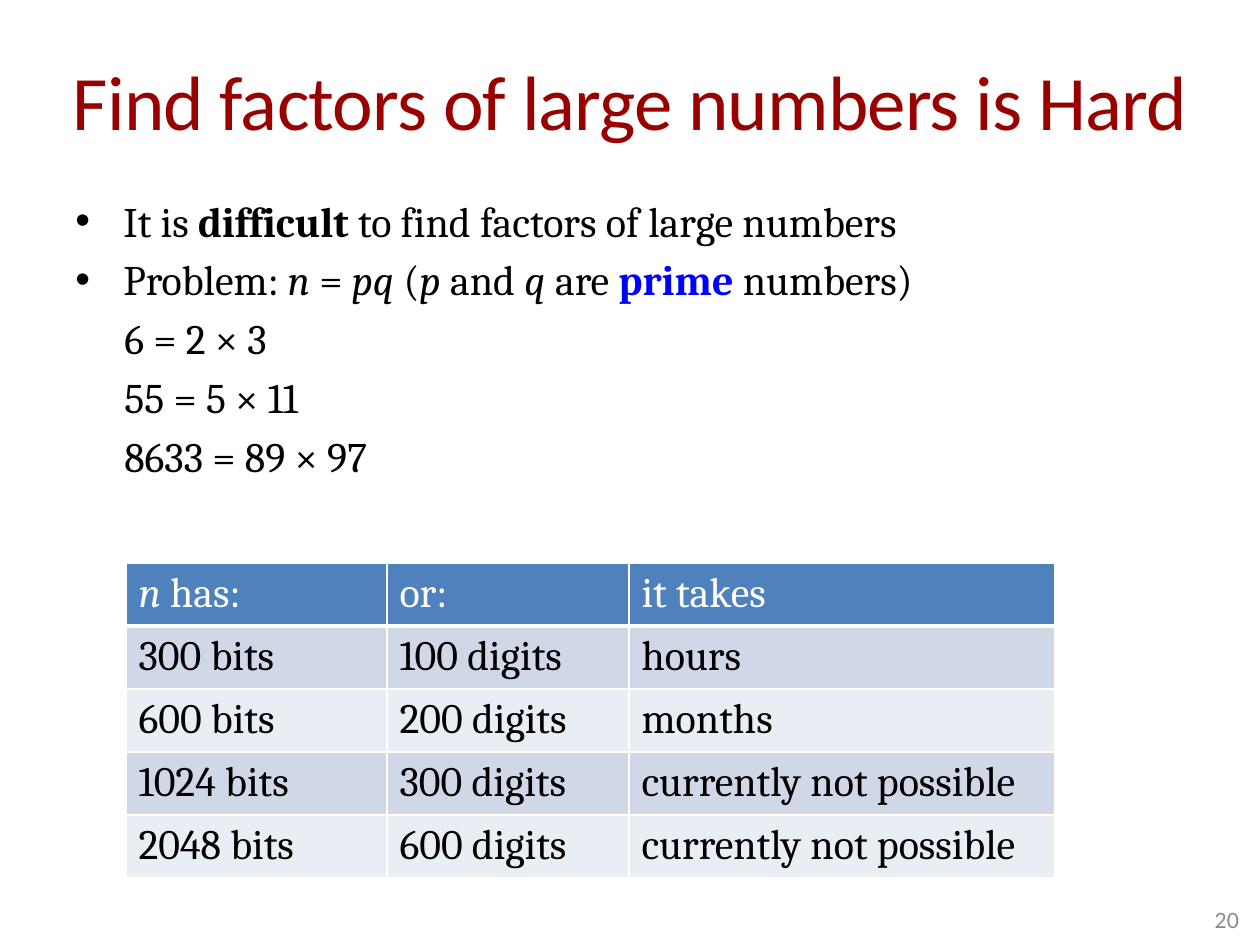
from lxml.etree import SubElement
from pptx import Presentation
from pptx.dml.color import RGBColor
from pptx.enum.text import MSO_ANCHOR as Anchor, MSO_AUTO_SIZE as Auto, PP_ALIGN as Align
from pptx.oxml.ns import qn
from pptx.util import Pt

PX = 914400 // 126
BLACK, WHITE, BLUE = "000000", "FFFFFF", "0000FF"
HEADER_FILL, BANDS = "4F81BD", ("D0D8E8", "E9EDF4")

TITLE = "Find factors of large numbers is Hard"
BULLETS = [
    [("It is ", ""), ("difficult", "b"), (" to find factors of large numbers", "")],
    [("Problem: ", ""), ("n", "i"), (" = ", ""), ("pq", "i"), (" (", ""), ("p", "i"),
     (" and ", ""), ("q", "i"), (" are ", ""), ("prime ", "key"), ("numbers)", "")],
]
EXAMPLES = ["6 = 2 × 3", "55 = 5 × 11", "8633 = 89 × 97"]
HEADER = [[("n", "i"), (" has:", "")], [("or:", "")], [("it takes", "")]]
ROWS = [
    ("300 bits", "100 digits", "hours"),
    ("600 bits", "200 digits", "months"),
    ("1024 bits", "300 digits", "currently not possible"),
    ("2048 bits", "600 digits", "currently not possible"),
]
COL_WIDTHS, ROW_HEIGHT = (261, 242, 426), 60
STYLES = {"": (False, False), "b": (True, False), "i": (False, True), "key": (True, False)}


def rgb(hex_text):
    return RGBColor.from_string(hex_text)


def px(*values):
    return [v * PX for v in values]


def add_run(p, text, color=BLACK, size=24, font="Cambria", style=""):
    r = p.add_run()
    r.text = text
    r.font.name, r.font.size = font, Pt(size)
    r.font.bold, r.font.italic = STYLES[style]
    r.font.color.rgb = rgb(BLUE if style == "key" else color)
    return r


def set_indent(p, left, hanging=0, bullet=None):
    pPr = p._p.get_or_add_pPr()
    pPr.set("marL", str(left * PX))
    pPr.set("indent", str(-hanging * PX))
    SubElement(SubElement(pPr, qn("a:spcBef")), qn("a:spcPct"), val="20000")
    if bullet:
        SubElement(pPr, qn("a:buFont"), typeface="Arial")
        SubElement(pPr, qn("a:buChar"), char=bullet)
    else:
        SubElement(pPr, qn("a:buNone"))


def set_borders(cell, **widths):
    tcPr = cell._tc.get_or_add_tcPr()
    for side in "LRTB":
        ln = SubElement(tcPr, qn(f"a:ln{side}"), w=str(Pt(widths.get(side, 1))))
        SubElement(SubElement(ln, qn("a:solidFill")), qn("a:srgbClr"), val=WHITE)


def add_title(s):
    sp = s.shapes.title
    sp.left, sp.top, sp.width, sp.height = px(63, 21, 1134, 158)
    tf = sp.text_frame
    tf.auto_size, tf.vertical_anchor = Auto.NONE, Anchor.MIDDLE
    tf.margin_left = tf.margin_right = 0
    p = tf.paragraphs[0]
    p.alignment = Align.CENTER
    r = add_run(p, TITLE, "990000", 44, "Calibri")
    r.font._element.set("spc", "-50")


def add_body(s):
    tf = s.shapes.add_textbox(*px(63, 189, 1134, 672)).text_frame
    tf.word_wrap = True
    lines = [(runs, (48, 48, "•")) for runs in BULLETS]
    lines += [([(text, "")], (49,)) for text in EXAMPLES]
    for i, (runs, indent) in enumerate(lines):
        p = tf.add_paragraph() if i else tf.paragraphs[0]
        set_indent(p, *indent)
        for text, style in runs:
            add_run(p, text, style=style)


def add_slide_number(s):
    tf = s.shapes.add_textbox(*px(945, 895, 294, 50)).text_frame
    tf.word_wrap, tf.vertical_anchor = True, Anchor.MIDDLE
    tf.margin_left = tf.margin_right = tf.margin_top = tf.margin_bottom = 0
    p = tf.paragraphs[0]
    p.alignment = Align.RIGHT
    add_run(p, "20", "898989", 12, "Lato")


def add_times_table(s):
    rows = [HEADER] + [[[(text, "")] for text in row] for row in ROWS]
    size = px(126, 563, sum(COL_WIDTHS), ROW_HEIGHT * len(rows))
    table = s.shapes.add_table(len(rows), len(COL_WIDTHS), *size).table
    for column, width in zip(table.columns, COL_WIDTHS):
        column.width = width * PX
    for i, row in enumerate(rows):
        table.rows[i].height = ROW_HEIGHT * PX
        for j, runs in enumerate(row):
            cell = table.cell(i, j)
            set_borders(cell, T=3 if i == 1 else 1, B=1 if i else 3)
            cell.fill.solid()
            cell.fill.fore_color.rgb = rgb(BANDS[(i - 1) % 2] if i else HEADER_FILL)
            for text, style in runs:
                add_run(cell.text_frame.paragraphs[0], text, BLACK if i else WHITE, style=style)


def main():
    """Build the slide on the difficulty of factoring large numbers."""
    prs = Presentation()
    prs.slide_width, prs.slide_height = px(1260, 945)
    s = prs.slides.add_slide(prs.slide_layouts[5])
    add_title(s)
    add_body(s)
    add_slide_number(s)
    add_times_table(s)
    prs.save("out.pptx")


if __name__ == "__main__":
    main()
